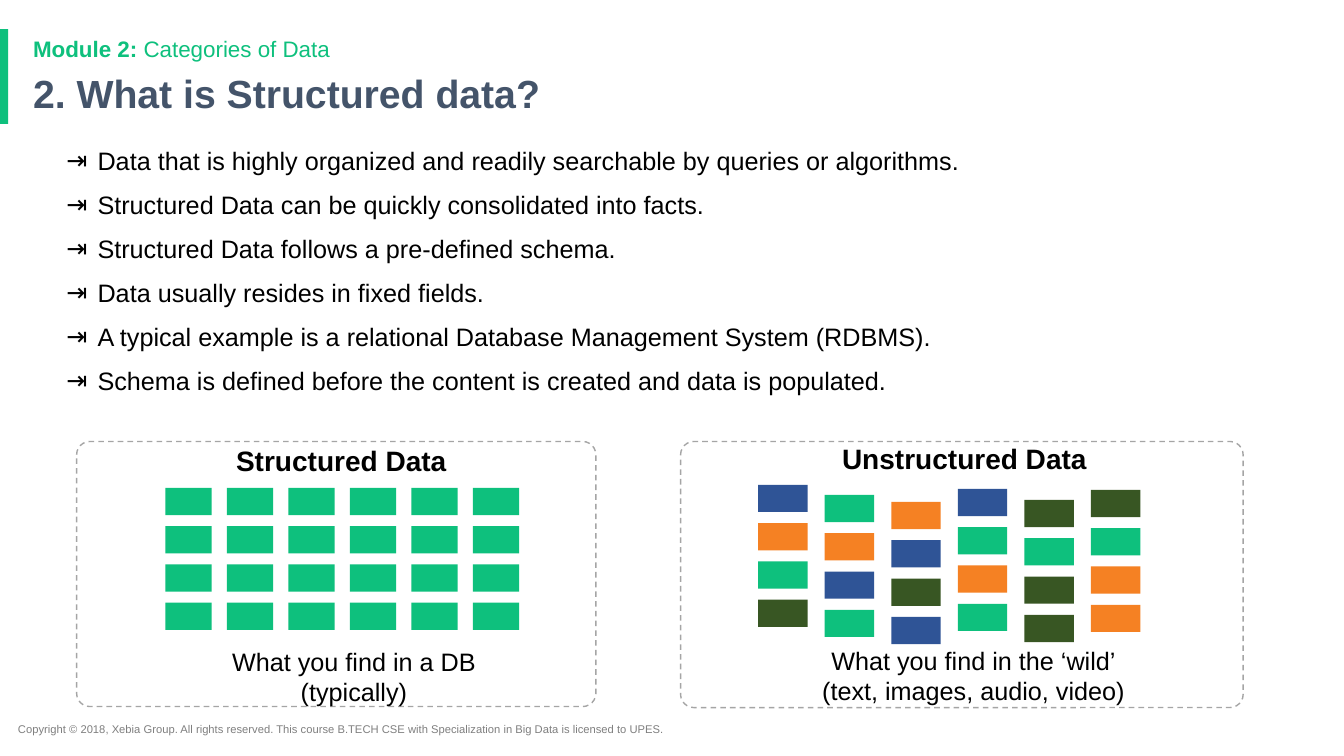
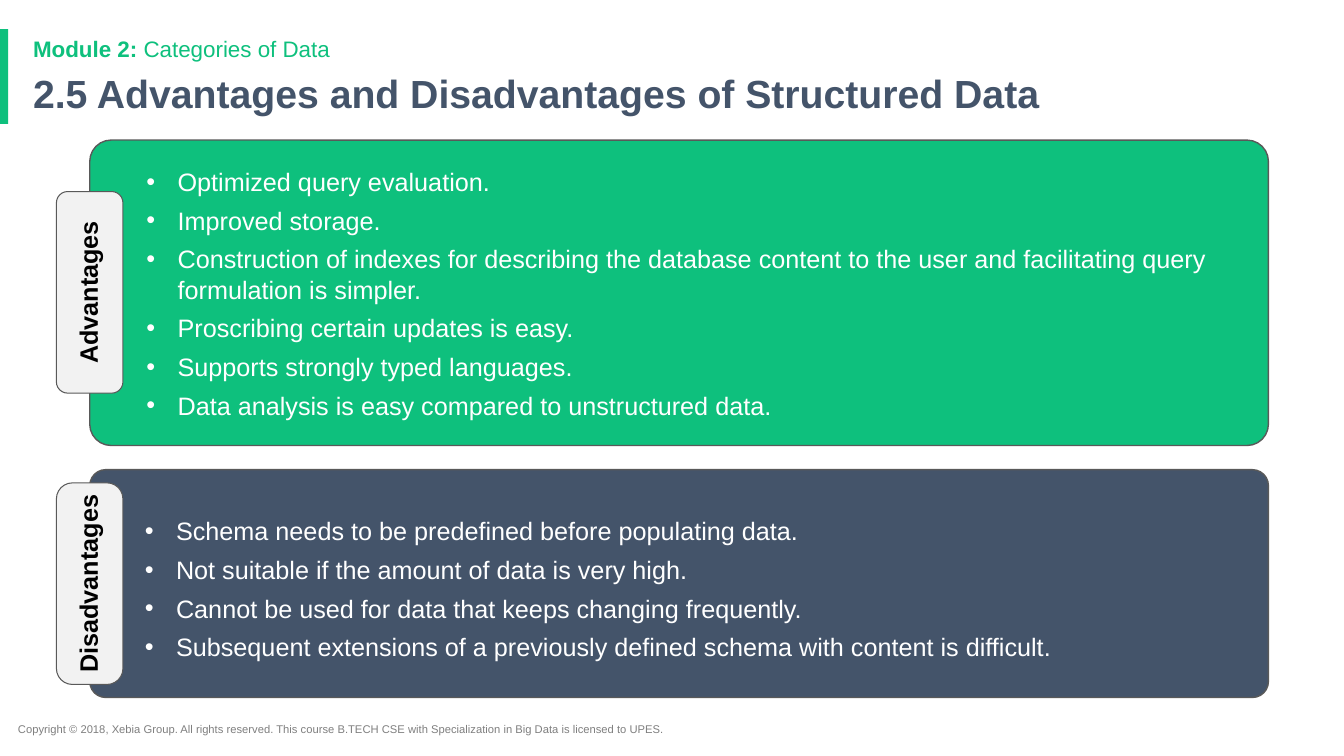
from lxml.etree import SubElement
from pptx import Presentation
from pptx.dml.color import RGBColor
from pptx.enum.dml import MSO_LINE
from pptx.enum.shapes import MSO_SHAPE
from pptx.enum.text import MSO_ANCHOR, PP_ALIGN
from pptx.oxml.ns import qn
from pptx.util import Inches, Pt

GREEN, SLATE, BLUE, ORANGE, OLIVE = "0EC07D", "44546A", "2F5496", "F58123", "385623"
BLACK, WHITE, GRAY, SILVER, PALE, DARK = "000000", "FFFFFF", "7F7F7F", "A5A5A5", "F2F2F2", "595959"
FONT = "Arial"
MARGINS = (0.1, 0.05, 0.1, 0.05)
INDENT = 0.31
COPYRIGHT = ("Copyright © 2018, Xebia Group. All rights reserved. "
             "This course B.TECH CSE with Specialization in Big Data is licensed to UPES.")


def color(value):
    return RGBColor.from_string(value)


def apply(target, formats):
    for name, value in formats.items():
        setattr(target, name, value)


def add_bullet(para, symbol, tint):
    props = para._p.get_or_add_pPr()
    props.set("marL", str(Inches(INDENT)))
    props.set("indent", str(-Inches(INDENT)))
    SubElement(SubElement(props, qn("a:buClr")), qn("a:srgbClr"), val=tint)
    SubElement(props, qn("a:buFont"), typeface=FONT)
    SubElement(props, qn("a:buChar"), char=symbol)


def write(shape, lines, size, tint, bold=False, align=PP_ALIGN.LEFT, anchor=MSO_ANCHOR.TOP,
          margins=MARGINS, bullet=None, before=0, spacing=1.0):
    frame = shape.text_frame
    apply(frame, {"word_wrap": True, "vertical_anchor": anchor})
    sides = ("margin_left", "margin_top", "margin_right", "margin_bottom")
    apply(frame, {side: Inches(margin) for side, margin in zip(sides, margins)})
    for index, line in enumerate(lines):
        para = frame.add_paragraph() if index else frame.paragraphs[0]
        if bullet:
            add_bullet(para, bullet, tint)
        apply(para, {"alignment": align, "line_spacing": spacing})
        if index and before:
            para.space_before = Pt(before)
        spans = [(line, bold)] if isinstance(line, str) else line
        for text, heavy in spans:
            span = para.add_run()
            span.text = text
            apply(span.font, {"name": FONT, "size": Pt(size), "bold": heavy})
            span.font.color.rgb = color(tint)


def add_text(page, box, lines, size, tint, **formats):
    shape = page.shapes.add_textbox(*map(Inches, box))
    write(shape, lines, size, tint, **formats)


def add_block(page, box, fill, line=None, width=1, dash=None, corner=None):
    kind = MSO_SHAPE.RECTANGLE if corner is None else MSO_SHAPE.ROUNDED_RECTANGLE
    shape = page.shapes.add_shape(kind, *map(Inches, box))
    shape.shadow.inherit = False
    shape.fill.solid()
    shape.fill.fore_color.rgb = color(fill)
    if corner is not None:
        shape.adjustments[0] = corner
    if line:
        shape.line.color.rgb = color(line)
        apply(shape.line, {"width": Pt(width), "dash_style": dash})
    else:
        shape.line.fill.background()
    return shape


def add_page(deck, title):
    page = deck.slides.add_slide(deck.slide_layouts[6])
    add_block(page, (0, 0.29, 0.08, 0.94), GREEN)
    add_text(page, (0.08, 7.12, 7.13, 0.24), [COPYRIGHT], 8, GRAY)
    add_text(page, (0.23, 0.69, 11.5, 0.54), [title], 28, SLATE, bold=True, spacing=0.9)
    module = [("Module 2: ", True), ("Categories of Data", False)]
    add_text(page, (0.23, 0.3, 11.5, 0.33), [module], 16, GREEN)
    return page


def add_data_card(page, box, heading, heading_box, caption, caption_box,
                  tile_start, tile_width, tile_step, columns, drops):
    left, top, _, _ = box

    def inside(part):
        return (left + part[0], top + part[1], *part[2:])

    add_block(page, box, WHITE, SILVER, dash=MSO_LINE.DASH, corner=0.05)
    for column, (tints, drop) in enumerate(zip(columns, drops)):
        for row, tint in enumerate(tints):
            x = tile_start[0] + column * tile_step
            y = tile_start[1] + drop + row * 0.38
            add_block(page, inside((x, y, tile_width, 0.27)), tint)
    add_text(page, inside(heading_box), [heading], 20, BLACK, bold=True, align=PP_ALIGN.CENTER)
    add_text(page, inside(caption_box), caption, 18, BLACK, align=PP_ALIGN.CENTER)


def add_labelled_panel(page, box, fill, points, anchor, label, label_top, label_corner):
    left, top, _, _ = box
    panel = add_block(page, box, fill, DARK, corner=0.07)
    write(panel, points, 18, WHITE, anchor=anchor, margins=(0.5, 0.2, 0.1, 0.1),
          bullet="•", before=6)
    length, depth = 2, 0.66
    tab_box = (left - length / 2, top + label_top + (length - depth) / 2, length, depth)
    tab = add_block(page, tab_box, PALE, DARK, 0.75, corner=label_corner)
    tab.rotation = 270
    write(tab, [label], 18, BLACK, bold=True, align=PP_ALIGN.CENTER,
          anchor=MSO_ANCHOR.MIDDLE, margins=(0, 0, 0, 0), spacing=0.9)


def build_definition(deck):
    page = add_page(deck, "2. What is Structured data?")
    add_text(page, (0.56, 1.43, 11.24, 2.7), [
        "Data that is highly organized and readily searchable by queries or algorithms.",
        "Structured Data can be quickly consolidated into facts.",
        "Structured Data follows a pre-defined schema.",
        "Data usually resides in fixed fields.",
        "A typical example is a relational Database Management System (RDBMS).",
        "Schema is defined before the content is created and data is populated.",
    ], 18, BLACK, bullet="⇥", before=12, spacing=0.9)
    add_data_card(
        page, (0.76, 4.38, 5.15, 2.63),
        "Structured Data", (1.47, -0.03, 2.31, 0.39),
        ["What you find in a DB", "(typically)"], (0.63, 1.98, 4.24, 0.63),
        (0.88, 0.46), 0.46, 0.61, [[GREEN] * 4] * 6, [0] * 6)
    mixed = [
        (BLUE, ORANGE, GREEN, OLIVE),
        (GREEN, ORANGE, BLUE, GREEN),
        (ORANGE, BLUE, OLIVE, BLUE),
        (BLUE, GREEN, ORANGE, GREEN),
        (OLIVE, GREEN, OLIVE, OLIVE),
        (OLIVE, GREEN, ORANGE, ORANGE),
    ]
    add_data_card(
        page, (6.75, 4.38, 5.58, 2.64),
        "Unstructured Data", (1.49, -0.05, 2.65, 0.39),
        ["What you find in the ‘wild’", "(text, images, audio, video)"], (0.23, 1.97, 5.35, 0.63),
        (0.77, 0.43), 0.49, 0.66, mixed, (0, 0.1, 0.17, 0.04, 0.15, 0.05))


def build_comparison(deck):
    page = add_page(deck, "2.5 Advantages and Disadvantages of Structured Data")
    add_labelled_panel(page, (0.89, 1.39, 11.69, 3.03), GREEN, [
        "Optimized query evaluation.",
        "Improved storage.",
        "Construction of indexes for describing the database content to the user "
        "and facilitating query formulation is simpler.",
        "Proscribing certain updates is easy.",
        "Supports strongly typed languages.",
        "Data analysis is easy compared to unstructured data.",
    ], MSO_ANCHOR.TOP, "Advantages", 0.51, 0.17)
    add_labelled_panel(page, (0.89, 4.66, 11.69, 2.26), SLATE, [
        "Schema needs to be predefined before populating data.",
        "Not suitable if the amount of data is very high.",
        "Cannot be used for data that keeps changing frequently.",
        "Subsequent extensions of a previously defined schema with content is difficult.",
    ], MSO_ANCHOR.MIDDLE, "Disadvantages", 0.13, 0.24)


def main():
    deck = Presentation()
    apply(deck, {"slide_width": Inches(13.33), "slide_height": Inches(7.5)})
    build_definition(deck)
    build_comparison(deck)
    deck.save("out.pptx")


if __name__ == "__main__":
    main()
